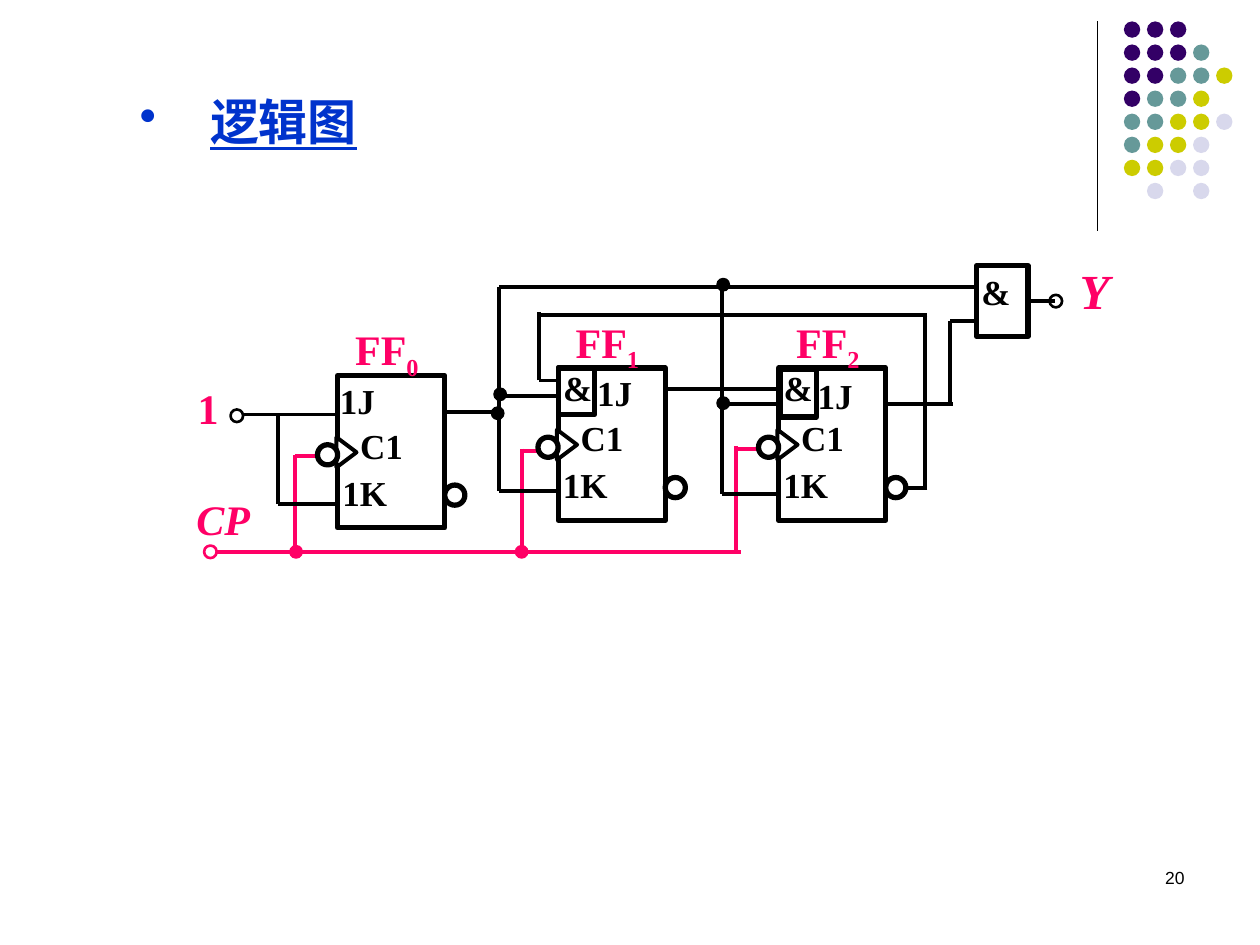
from lxml import etree
from pptx import Presentation
from pptx.dml.color import RGBColor
from pptx.enum.shapes import MSO_CONNECTOR, MSO_SHAPE
from pptx.enum.text import MSO_ANCHOR, PP_ALIGN
from pptx.oxml.ns import qn
from pptx.util import Cm, Pt

STRAIGHT = MSO_CONNECTOR.STRAIGHT
OVAL, RECTANGLE, TRIANGLE = MSO_SHAPE.OVAL, MSO_SHAPE.RECTANGLE, MSO_SHAPE.ISOSCELES_TRIANGLE
LEFT, CENTER, RIGHT = PP_ALIGN.LEFT, PP_ALIGN.CENTER, PP_ALIGN.RIGHT
RIGHT_SIDE = 3
SERIF, SANS = "Times New Roman", "Arial"

COLORS = {"black": "000000", "white": "FFFFFF", "pink": "FF0066", "blue": "0033CC",
          "P": "330066", "T": "669999", "Y": "CCCC00", "L": "D8D8EC"}

# All positions below are in inches
TITLE = "逻辑图"
DOT_ROWS = ["PPP", "PPPT", "PPTTY", "PTTY", "TTYYL", "TYYL", "YYLL", ".L.L"]
DOT_LEFT, DOT_TOP, DOT_PITCH, DOT_SIZE = 8.92, 0.17, 0.183, 0.13
NODE_SIZE, BUBBLE_SIZE = 0.1, 0.16

# Flip-flops: index, left, top, size of the AND input (None when absent), offset of 1J
FLIP_FLOPS = [("0", 2.68, 2.98, None, (-0.08, -0.02)),
              ("1", 4.43, 2.92, (0, 0, 0.29, 0.37), (0.21, -0.02)),
              ("2", 6.18, 2.92, (0.01, 0.01, 0.29, 0.38), (0.21, 0))]

# Wires: x1, y1, x2, y2
CLOCK_WIRES = [(4.14, 3.58, 4.32, 3.58), (4.14, 3.56, 4.14, 4.4),
               (5.84, 3.56, 6.03, 3.56), (5.84, 3.54, 5.84, 4.4),
               (2.34, 3.62, 2.57, 3.62), (2.34, 3.61, 2.34, 4.38),
               (1.63, 4.38, 5.88, 4.38)]
FEEDBACK_WIRES = [(7.36, 2.5, 4.28, 2.5), (7.34, 2.49, 7.34, 3.87), (7.36, 3.87, 7.15, 3.87),
                  (4.28, 3.02, 4.42, 3.02), (4.28, 3.02, 4.28, 2.48)]
SIGNAL_WIRES = [(3.96, 3.14, 4.43, 3.14), (3.96, 2.28, 3.96, 3.9), (3.96, 3.9, 4.43, 3.9),
                (1.9, 3.29, 2.68, 3.29), (2.21, 3.29, 2.21, 4), (2.21, 4, 2.68, 4),
                (7.76, 2.28, 3.96, 2.28), (7.05, 3.21, 7.56, 3.21),
                (7.54, 2.55, 7.76, 2.55), (7.54, 2.55, 7.54, 3.2),
                (6.18, 3.09, 5.29, 3.09), (3.98, 3.27, 3.52, 3.27),
                (5.73, 3.21, 6.2, 3.21), (5.73, 2.24, 5.73, 3.92), (5.73, 3.92, 6.2, 3.92)]

# Nodes: left, top
CLOCK_NODES = [(2.3, 4.33), (4.09, 4.33)]
SIGNAL_NODES = [(3.9, 3.23), (3.92, 3.08), (5.69, 2.21), (5.69, 3.15)]


def inches(*values):
    return [Cm(value * 2.54) for value in values]


def color(name):
    return RGBColor.from_string(COLORS[name])


def add_outline(slide, kind, box, fill, line=None, width=0.75):
    shape = slide.shapes.add_shape(kind, *inches(*box))
    shape.shadow.inherit = False
    shape.fill.solid()
    shape.fill.fore_color.rgb = color(fill)
    if line:
        shape.line.color.rgb = color(line)
        shape.line.width = Pt(width)
    else:
        shape.line.fill.background()
    return shape


def add_node(slide, left, top, fill, line, width=0.75):
    add_outline(slide, OVAL, (left, top, NODE_SIZE, NODE_SIZE), fill, line, width)


def add_wire(slide, ends, line="black", width=2.25):
    wire = slide.shapes.add_connector(STRAIGHT, *inches(*ends))
    wire.line.color.rgb = color(line)
    wire.line.width = Pt(width)
    etree.SubElement(wire.element.spPr, qn("a:effectLst"))
    return wire


def format_run(run, size, font_color, name=SERIF, bold=True, italic=False):
    font = run.font
    font.name, font.size, font.bold, font.italic = name, Pt(size), bold, italic
    font.color.rgb = color(font_color)


def add_label(slide, text, box, size=20, font_color="black", align=LEFT, subscript="", **style):
    text_frame = slide.shapes.add_textbox(*inches(*box)).text_frame
    text_frame.word_wrap = align != CENTER
    text_frame.text = text
    paragraph = text_frame.paragraphs[0]
    paragraph.alignment = align
    if subscript:
        run = paragraph.add_run()
        run.text = subscript
        run._r.get_or_add_rPr().set("baseline", "-25000")
    for run in paragraph.runs:
        format_run(run, size, font_color, **style)


def add_title(slide):
    title = slide.shapes.title
    title.left, title.top, title.width, title.height = inches(0.59, 0.68, 2.76, 0.57)
    text_frame = title.text_frame
    text_frame.text = TITLE
    text_frame.word_wrap = True
    text_frame.vertical_anchor = MSO_ANCHOR.TOP
    paragraph = text_frame.paragraphs[0]
    paragraph.alignment = CENTER
    properties = paragraph._p.get_or_add_pPr()
    indent = Cm(1.42)
    properties.set("marL", str(indent))
    properties.set("indent", str(-indent))
    bullet_color = etree.SubElement(properties, qn("a:buClr"))
    etree.SubElement(bullet_color, qn("a:srgbClr"), val=COLORS["blue"])
    etree.SubElement(properties, qn("a:buChar"), char="•")
    run = paragraph.runs[0]
    format_run(run, 28, "blue")
    run.font.underline = True


def add_corner_dots(slide):
    add_wire(slide, (8.71, 0.17, 8.71, 1.83), width=0.75)
    for row, dots in enumerate(DOT_ROWS):
        for column, dot in enumerate(dots):
            if dot in COLORS:
                add_outline(slide, OVAL, (DOT_LEFT + column * DOT_PITCH, DOT_TOP + row * DOT_PITCH,
                                          DOT_SIZE, DOT_SIZE), dot)


def add_flip_flop(slide, index, left, top, and_box, j_offset):
    def place(x, y, width, height):
        return left + x, top + y, width, height

    add_outline(slide, RECTANGLE, place(0, 0, 0.85, 1.21), "white", "black", 3)
    clock_edge = add_outline(slide, TRIANGLE, place(-0.05, 0.53, 0.24, 0.16), "white", "black", 2.25)
    clock_edge.rotation = 90
    for x, y in [(-0.16, 0.55), (0.85, 0.87)]:
        add_outline(slide, OVAL, place(x, y, BUBBLE_SIZE, BUBBLE_SIZE), "white", "black", 3)
    if and_box:
        add_outline(slide, RECTANGLE, place(*and_box), "white", "black", 3)
        add_label(slide, "&", place(-0.06, -0.06, 0.43, 0.44), align=CENTER)
    for text, offset in [("1J", j_offset), ("C1", (0.08, 0.34)), ("1K", (-0.06, 0.71))]:
        add_label(slide, text, place(*offset, 0.74, 0.44))
    add_label(slide, "FF", place(0.04, -0.46, 0.78, 0.56), 24, "pink", subscript=index)


def add_output_gate(slide):
    add_node(slide, 8.33, 2.34, "white", "black", 1.5)
    gate = add_outline(slide, RECTANGLE, (7.75, 2.11, 0.41, 0.56), "white", "black", 3)
    output = add_wire(slide, (8.16, 2.39, 8.37, 2.39))
    output.begin_connect(gate, RIGHT_SIDE)
    add_label(slide, "&", (7.69, 2.1, 0.43, 0.44), align=CENTER)
    add_label(slide, "Y", (8.47, 2.02, 0.71, 0.57), 28, "pink", italic=True)


def main():
    presentation = Presentation()
    presentation.slide_width, presentation.slide_height = Cm(25.4), Cm(19.05)
    slide = presentation.slides.add_slide(presentation.slide_layouts[5])

    add_corner_dots(slide)
    add_title(slide)
    add_label(slide, "20", (7.17, 6.83, 2.33, 0.5), 10, align=RIGHT, name=SANS, bold=False)

    for ends in CLOCK_WIRES:
        add_wire(slide, ends, "pink")
    for left, top in CLOCK_NODES:
        add_node(slide, left, top, "pink", "pink")
    add_node(slide, 1.62, 4.33, "white", "pink", 1.5)
    add_label(slide, "CP", (1.46, 3.87, 0.66, 0.5), 24, "pink", italic=True)

    for ends in FEEDBACK_WIRES:
        add_wire(slide, ends)
    for flip_flop in FLIP_FLOPS:
        add_flip_flop(slide, *flip_flop)
    for ends in SIGNAL_WIRES:
        add_wire(slide, ends)
    for left, top in SIGNAL_NODES:
        add_node(slide, left, top, "black", "black")
    add_node(slide, 1.83, 3.25, "white", "black", 1.5)
    add_label(slide, "1", (1.47, 2.99, 0.36, 0.5), 24, "pink", CENTER)
    add_output_gate(slide)

    presentation.save("out.pptx")


if __name__ == "__main__":
    main()
